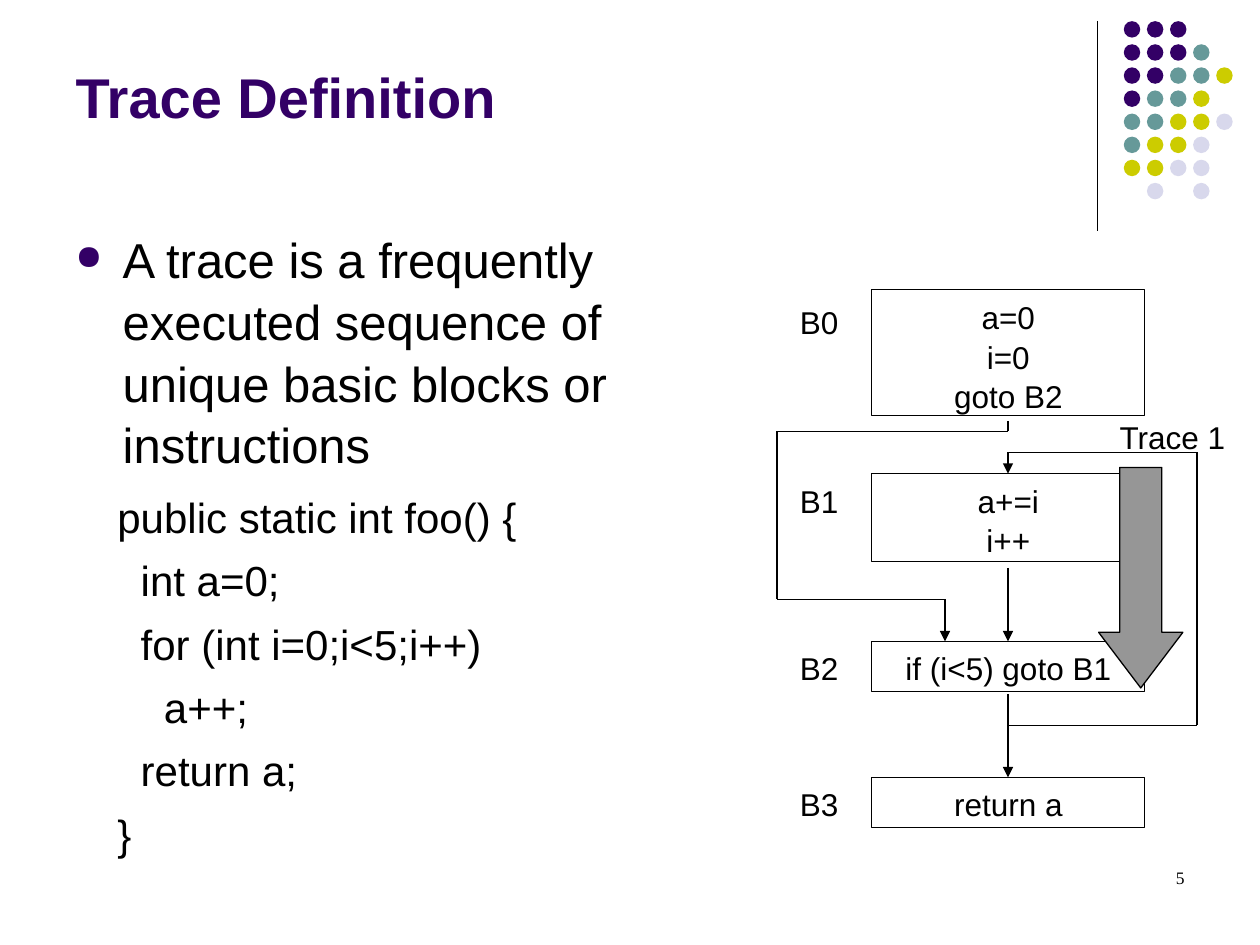
from lxml import etree
from pptx import Presentation
from pptx import util as u
from pptx.dml.color import RGBColor
from pptx.enum import shapes, text
from pptx.oxml.ns import qn

BLACK, PURPLE = "000000", "330066"
DOT_COLOURS = {"P": PURPLE, "T": "669999", "Y": "CCCC00", "L": "D8D8EC"}
DOT_ROWS = ["PPP", "PPPT", "PPTTY", "PTTY", "TTYYL", "TYYL", "YYLL", " L L"]
CODE = ["public static int foo() {", "  int a=0;", "  for (int i=0;i<5;i++)",
        "    a++;", "  return a;", "}"]
# Basic blocks: name, code lines, top, height, label top
BLOCKS = [
    ("B0", ["a=0", "i=0", "goto B2"], 165.6, 72, 168.5),
    ("B1", ["a+=i", "i++"], 270.7, 50.4, 270.7),
    ("B2", ["if (i<5) goto B1"], 366.5, 28.8, 366.5),
    ("B3", ["return a"], 444.2, 28.8, 444.2),
]
# Control flow: corner points, whether it ends in an arrowhead
ROUTES = [
    ([(576, 396.7), (576, 444.2)], True),
    ([(576, 324.5), (576, 366.5)], True),
    ([(576, 414.5), (684, 414.5), (684, 258.5), (576, 258.5), (576, 270.7)], True),
    ([(576, 240.5), (576, 246.5), (444, 246.5), (444, 342.5), (540, 342.5),
      (540, 366.5)], True),
]


def colour(value):
    return RGBColor.from_string(value)


def write(box, lines, size, align=text.PP_ALIGN.LEFT, ink=BLACK, bold=False,
          font="Arial", wrap=True, anchor=text.MSO_ANCHOR.TOP, spacing=1.05, gap=0):
    frame = box.text_frame
    frame.text = "\n".join(lines)
    frame.word_wrap = wrap
    frame.auto_size = text.MSO_AUTO_SIZE.NONE
    frame.vertical_anchor = anchor
    for number, para in enumerate(frame.paragraphs):
        para.alignment = align
        para.line_spacing = spacing
        para.space_before = u.Pt(gap if number else 0)
        for span in para.runs:
            span.font.name = font
            span.font.size = u.Pt(size)
            span.font.bold = bold
            span.font.color.rgb = colour(ink)


def add_text(page, left, top, width, height, lines, size, **style):
    box = page.shapes.add_textbox(u.Pt(left), u.Pt(top), u.Pt(width), u.Pt(height))
    write(box, lines, size, **style)
    return box


def add_shape(page, kind, left, top, width, height, fill=None, line=None):
    shape = page.shapes.add_shape(kind, u.Pt(left), u.Pt(top), u.Pt(width), u.Pt(height))
    shape.shadow.inherit = False
    if fill:
        shape.fill.solid()
        shape.fill.fore_color.rgb = colour(fill)
    else:
        shape.fill.background()
    if line:
        shape.line.color.rgb = colour(line)
        shape.line.width = u.Pt(0.75)
    else:
        shape.line.fill.background()
    return shape


def add_route(page, points, arrow=False):
    for start, end in zip(points, points[1:]):
        line = page.shapes.add_connector(
            shapes.MSO_CONNECTOR.STRAIGHT, *(u.Pt(v) for v in start + end))
        line.line.color.rgb = colour(BLACK)
        line.line.width = u.Pt(0.75)
        etree.SubElement(line._element.spPr, qn("a:effectLst"))
        if arrow and end == points[-1]:
            etree.SubElement(line.line._get_or_add_ln(), qn("a:tailEnd"), type="triangle")


def add_bullet(para):
    props = para._p.get_or_add_pPr()
    props.set("marL", str(u.Pt(27)))
    props.set("indent", str(-u.Pt(27)))
    ink = etree.SubElement(props, qn("a:buClr"))
    etree.SubElement(ink, qn("a:srgbClr"), val=PURPLE)
    etree.SubElement(props, qn("a:buSzPct"), val="70000")
    etree.SubElement(props, qn("a:buChar"), char="●")


def add_dots(page):
    for row, marks in enumerate(DOT_ROWS):
        for column, mark in enumerate(marks):
            if mark in DOT_COLOURS:
                add_shape(page, shapes.MSO_SHAPE.OVAL, 642.2 + 13.2 * column,
                          12.1 + 13.2 * row, 9.4, 9.4, fill=DOT_COLOURS[mark])


def add_title(page, words):
    title = page.shapes.title
    title.left, title.top = u.Pt(36), u.Pt(9.4)
    title.width, title.height = u.Pt(594), u.Pt(68.4)
    write(title, [words], 32, ink=PURPLE, bold=True,
          anchor=text.MSO_ANCHOR.BOTTOM, spacing=1)


def add_flow_chart(page):
    for name, lines, top, height, label_top in BLOCKS:
        block = add_shape(page, shapes.MSO_SHAPE.RECTANGLE, 498.2, top, 156, height,
                          line=BLACK)
        write(block, lines, 18, align=text.PP_ALIGN.CENTER)
        add_text(page, 450, label_top, 36, 28.8, [name], 18, wrap=False)
    for points, arrow in ROUTES:
        add_route(page, points, arrow)


def main():
    deck = Presentation()
    deck.slide_width, deck.slide_height = u.Pt(720), u.Pt(540)
    page = deck.slides.add_slide(deck.slide_layouts[5])

    # Corner decoration
    add_route(page, [(627, 12), (627, 132)])
    add_dots(page)

    # Title and definition
    add_title(page, "Trace Definition")
    definition = add_text(
        page, 36, 126, 384, 347,
        ["A trace is a frequently executed sequence of unique basic blocks or instructions"],
        28)
    add_bullet(definition.text_frame.paragraphs[0])

    # Control flow with the trace marked on it
    add_flow_chart(page)
    add_text(page, 632.7, 234, 75.6, 28.8, ["Trace 1"], 18, wrap=False)
    arrow = add_shape(page, shapes.MSO_SHAPE.DOWN_ARROW, 627.8, 267.1, 48.2, 126,
                      fill="969696", line=BLACK)
    arrow.adjustments[0], arrow.adjustments[1] = 0.5, 0.66

    # Source code and page number
    add_text(page, 60, 275.8, 384, 221, CODE, 24, gap=6)
    add_text(page, 516, 492, 168, 36, ["5"], 10, align=text.PP_ALIGN.RIGHT,
             font="Times New Roman", spacing=1)

    deck.save("out.pptx")


if __name__ == "__main__":
    main()
